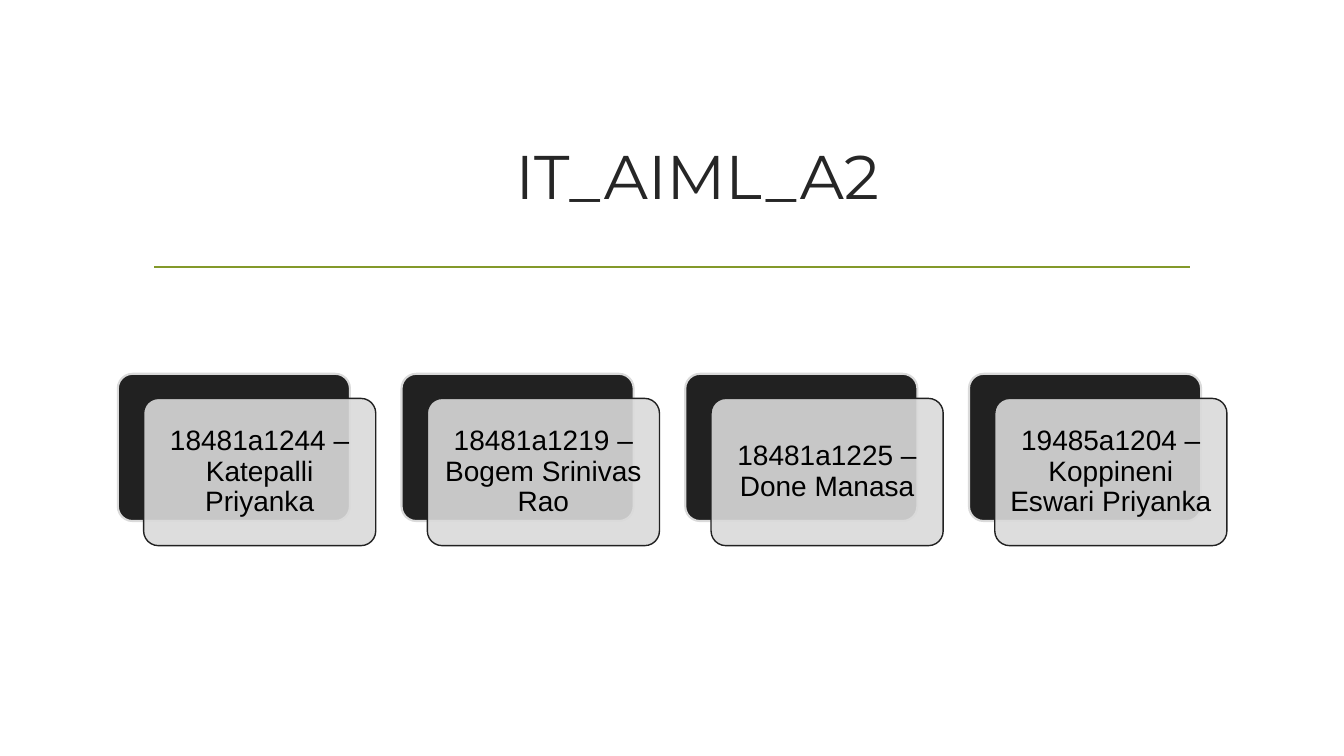
"""Build the team slide: a title, a rule and four layered member cards."""
import dataclasses

import lxml.etree
import pptx
import pptx.dml.color
import pptx.enum.shapes
import pptx.enum.text
import pptx.oxml.ns
import pptx.shapes.autoshape
import pptx.slide
import pptx.text.text
import pptx.util

Cm = pptx.util.Cm
Pt = pptx.util.Pt


@dataclasses.dataclass(frozen=True)
class Theme:
    """Colours, fonts and type sizes of the slide."""

    dark: str = "212121"
    pale: str = "DADADA"
    rule: str = "83992A"
    title_colour: str = "262626"
    card_colour: str = "000000"
    title_font: str = "Montserrat"
    card_font: str = "Arial"
    title_size: float = 44
    card_size: float = 20


@dataclasses.dataclass(frozen=True)
class Member:
    """A team member."""

    roll_number: str
    name: str


@dataclasses.dataclass(frozen=True)
class CardGrid:
    """Measurements of the card row, in centimetres."""

    left: float = 2.97
    top: float = 9.42
    pitch: float = 7.15
    width: float = 5.85
    height: float = 3.71
    shift_x: float = 0.65
    shift_y: float = 0.62
    inset: float = 0.2


THEME = Theme()
GRID = CardGrid()
MEMBERS = (
    Member("18481a1244", "Katepalli Priyanka"),
    Member("18481a1219", "Bogem Srinivas Rao"),
    Member("18481a1225", "Done Manasa"),
    Member("19485a1204", "Koppineni Eswari Priyanka"),
)


def rgb(colour: str) -> pptx.dml.color.RGBColor:
    """Turn a hexadecimal string into a colour."""
    return pptx.dml.color.RGBColor.from_string(colour)


def set_text(frame: pptx.text.text.TextFrame, text: str, font: str, size: float, colour: str) -> None:
    """Write one centred paragraph in the middle of a frame."""
    frame.text = text
    frame.word_wrap = True
    frame.auto_size = pptx.enum.text.MSO_AUTO_SIZE.NONE
    frame.vertical_anchor = pptx.enum.text.MSO_ANCHOR.MIDDLE
    para = frame.paragraphs[0]
    para.alignment = pptx.enum.text.PP_ALIGN.CENTER
    para.line_spacing = 0.9
    span = para.runs[0]
    span.font.name = font
    span.font.size = Pt(size)
    span.font.color.rgb = rgb(colour)


def add_title(page: pptx.slide.Slide, text: str) -> None:
    """Place and format the title, set slightly right of centre."""
    title = page.shapes.title
    title.left, title.top = Cm(3.61), Cm(2.72)
    title.width, title.height = Cm(26.67), Cm(3.63)
    set_text(title.text_frame, text, THEME.title_font, THEME.title_size, THEME.title_colour)
    title.text_frame.margin_left = Cm(1.52)


def add_rule(page: pptx.slide.Slide) -> None:
    """Draw the line under the title."""
    rule = page.shapes.add_connector(
        pptx.enum.shapes.MSO_CONNECTOR.STRAIGHT, Cm(3.89), Cm(6.73), Cm(30), Cm(6.73)
    )
    rule.line.color.rgb = rgb(THEME.rule)
    rule.line.width = Pt(1.25)
    lxml.etree.SubElement(rule.line._get_or_add_ln().getparent(), pptx.oxml.ns.qn("a:effectLst"))


def add_panel(
    page: pptx.slide.Slide, left: float, top: float, fill: str, outline: str, weight: float
) -> pptx.shapes.autoshape.Shape:
    """Draw one rounded panel of a card."""
    panel = page.shapes.add_shape(
        pptx.enum.shapes.MSO_SHAPE.ROUNDED_RECTANGLE,
        Cm(left), Cm(top), Cm(GRID.width), Cm(GRID.height),
    )
    panel.adjustments[0] = 0.1
    panel.shadow.inherit = False
    panel.fill.solid()
    panel.fill.fore_color.rgb = rgb(fill)
    panel.line.color.rgb = rgb(outline)
    panel.line.width = Pt(weight)
    return panel


def set_opacity(panel: pptx.shapes.autoshape.Shape, percent: int) -> None:
    """Make the fill of a panel partly transparent."""
    colour = panel._element.spPr.find(pptx.oxml.ns.qn("a:solidFill"))[0]
    lxml.etree.SubElement(colour, pptx.oxml.ns.qn("a:alpha"), val=str(percent * 1000))


def add_card(page: pptx.slide.Slide, member: Member, left: float) -> None:
    """Draw a dark panel with a pale, labelled panel over it."""
    add_panel(page, left, GRID.top, THEME.dark, THEME.pale, 1.5)
    front = add_panel(
        page, left + GRID.shift_x, GRID.top + GRID.shift_y, THEME.pale, THEME.dark, 1
    )
    set_opacity(front, 90)
    frame = front.text_frame
    frame.margin_left = frame.margin_right = Cm(GRID.inset)
    frame.margin_top = frame.margin_bottom = Cm(GRID.inset)
    label = f"{member.roll_number} – {member.name}"
    set_text(frame, label, THEME.card_font, THEME.card_size, THEME.card_colour)


def main() -> None:
    """Build and save the deck."""
    deck = pptx.Presentation()
    deck.slide_width, deck.slide_height = Cm(33.87), Cm(19.05)
    page = deck.slides.add_slide(deck.slide_layouts.get_by_name("Title Only"))
    add_title(page, "IT_AIML_A2")
    add_rule(page)
    for index, member in enumerate(MEMBERS):
        add_card(page, member, GRID.left + index * GRID.pitch)
    deck.save("out.pptx")


if __name__ == "__main__":
    main()
